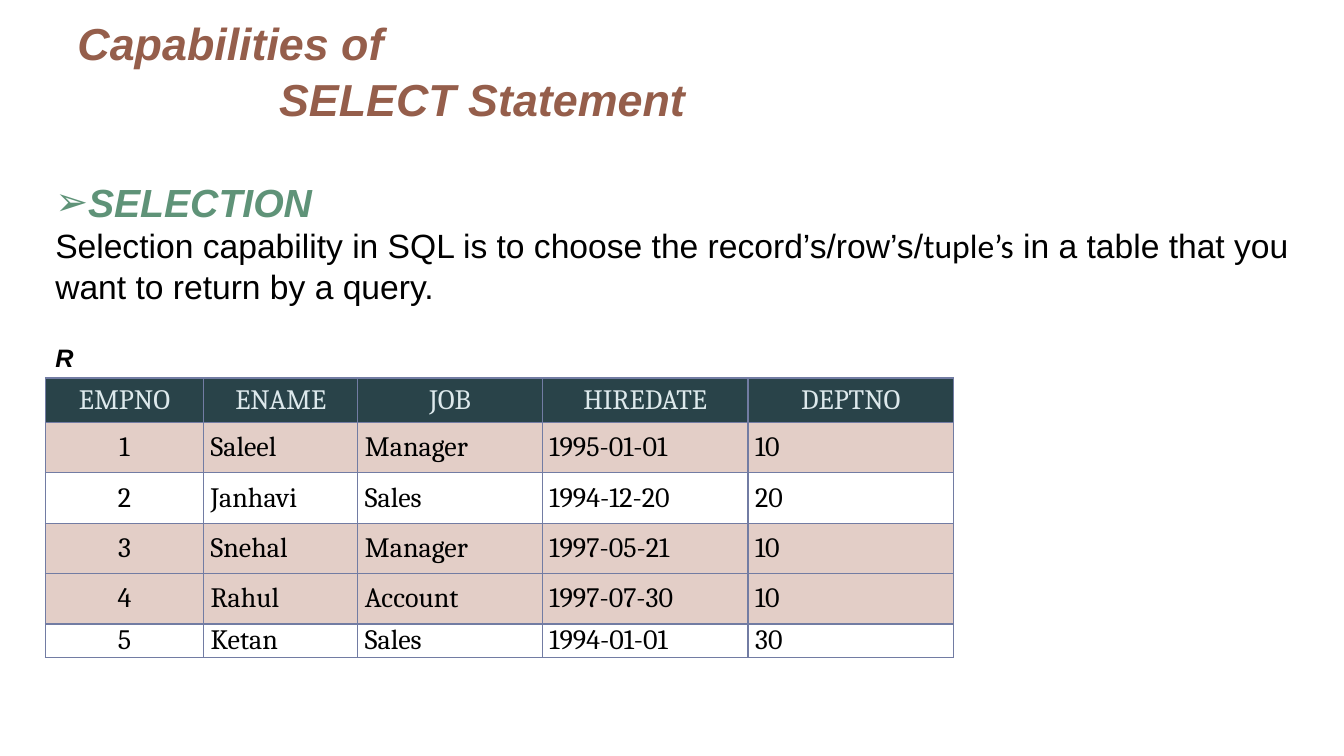
from lxml.etree import SubElement
from pptx import Presentation
from pptx.dml.color import RGBColor
from pptx.enum.text import MSO_ANCHOR as Anchor, PP_ALIGN as Align
from pptx.oxml.ns import qn
from pptx.util import Inches, Pt

COLORS = {
    "title": "955E4B", "heading": "5F9378", "text": "000000",
    "header_fill": "294349", "header_text": "DDE9EC",
    "band": "E3CEC7", "border": "727CA3",
}


def add_span(para, text, size, color, font="Arial", strong=False):
    """Add one run; strong means bold and italic."""
    span = para.add_run()
    span.text = text
    span.font.name = font
    span.font.size = Pt(size)
    span.font.bold = span.font.italic = strong
    span.font.color.rgb = RGBColor.from_string(COLORS[color])


def add_box(left, top, width, height):
    box = page.shapes.add_textbox(Inches(left), Inches(top), Inches(width), Inches(height))
    box.text_frame.word_wrap = True
    return box.text_frame


deck = Presentation()
deck.slide_width, deck.slide_height = Inches(13.33), Inches(7.5)
page = deck.slides.add_slide(deck.slide_layouts[6])

# Selection text
body = add_box(0.45, 1.25, 12.44, 1.85)
heading = body.paragraphs[0]
heading.line_spacing = 2.0
hanging = Inches(0.32)
props = heading._p.get_or_add_pPr()
props.set("marL", str(hanging))
props.set("indent", str(-hanging))
SubElement(props, qn("a:buFont"), typeface="Arial")
SubElement(props, qn("a:buChar"), char="➢")
add_span(heading, "SELECTION", 28, "heading", strong=True)
para = body.add_paragraph()
add_span(para, "Selection capability in SQL is to choose the record’s/row’s/", 24, "text")
add_span(para, "tuple’s", 24, "text", font="Calibri")
add_span(para, " in a table that you want to return by a query.", 24, "text")

# Title, second line indented
title = add_box(0.67, 0.29, 12, 1)
title.vertical_anchor = Anchor.BOTTOM
add_span(title.paragraphs[0], "Capabilities of", 32, "title", strong=True)
para = title.add_paragraph()
para._p.get_or_add_pPr().set("marL", str(Inches(2)))
para.space_before = Pt(1.5)
add_span(para, "SELECT Statement", 32, "title", strong=True)

# Employee table
employees = [
    ("EMPNO", "ENAME", "JOB", "HIREDATE", "DEPTNO"),
    ("1", "Saleel", "Manager", "1995-01-01", "10"),
    ("2", "Janhavi", "Sales", "1994-12-20", "20"),
    ("3", "Snehal", "Manager", "1997-05-21", "10"),
    ("4", "Rahul", "Account", "1997-07-30", "10"),
    ("5", "Ketan", "Sales", "1994-01-01", "30"),
]
row_fills = ["header_fill", "band", None, "band", "band", None]
col_widths = [1.57, 1.53, 1.83, 2.04, 2.04]
row_heights = [0.44, 0.5, 0.5, 0.5, 0.5, 0.33]

table = page.shapes.add_table(
    len(row_heights), len(col_widths), Inches(0.45), Inches(3.75),
    Inches(sum(col_widths)), Inches(sum(row_heights))).table
table.horz_banding = False
for column, width in zip(table.columns, col_widths):
    column.width = Inches(width)
for row, height in zip(table.rows, row_heights):
    row.height = Inches(height)

for r, (record, fill) in enumerate(zip(employees, row_fills)):
    for c, value in enumerate(record):
        cell = table.cell(r, c)
        cell.vertical_anchor = Anchor.MIDDLE
        cell.margin_left = cell.margin_right = Inches(0.07)
        cell.margin_top = cell.margin_bottom = 0
        para = cell.text_frame.paragraphs[0]
        para.alignment = Align.CENTER if r == 0 or c == 0 else Align.LEFT
        add_span(para, value, 20, "text" if r else "header_text", font="Cambria")
        cell_props = cell._tc.get_or_add_tcPr()
        for side in ("lnL", "lnR", "lnT", "lnB"):
            border = SubElement(cell_props, qn(f"a:{side}"), w=str(Pt(1)))
            paint = SubElement(border, qn("a:solidFill"))
            SubElement(paint, qn("a:srgbClr"), val=COLORS["border"])
        if fill:
            cell.fill.solid()
            cell.fill.fore_color.rgb = RGBColor.from_string(COLORS[fill])
        else:
            cell.fill.background()

# Relation name above the table
label = add_box(0.45, 3.35, 0.43, 0.4)
add_span(label.paragraphs[0], "R", 18, "text", strong=True)

deck.save("out.pptx")
